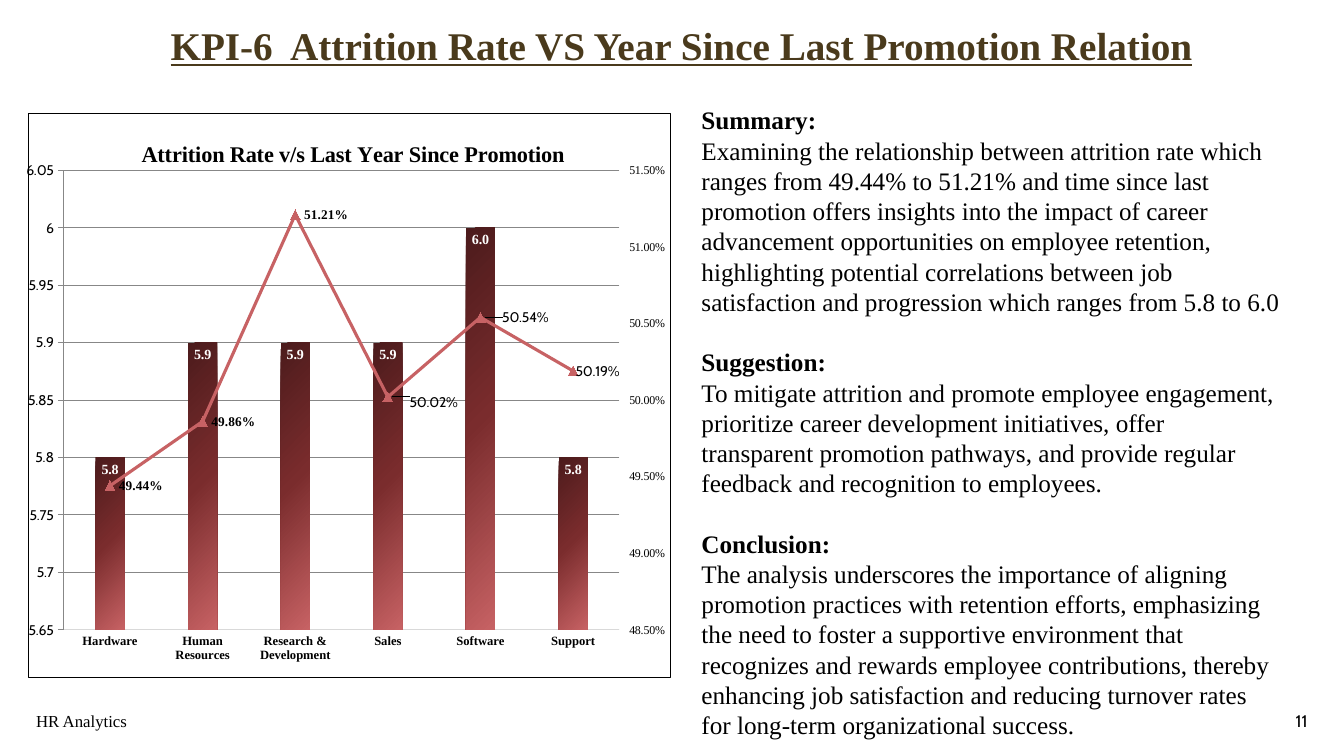
import copy
import pptx
import pptx.chart.axis
import pptx.chart.data
import pptx.dml.color
import pptx.enum.chart
import pptx.enum.text
import pptx.oxml
import pptx.oxml.ns
import pptx.util

GRID_COLUMNS, GRID_ROWS = 128, 72
SERIF, SANS = "Times New Roman", "Cabin"
BLACK, WHITE, BROWN, ROSE = "000000", "FFFFFF", "4A3A1C", "C76264"
BAR_GRADIENT = [(0, "4C1B1C"), (48, "7A2C2D"), (100, ROSE)]
LINE_HEIGHT = 21.6

DEPARTMENTS = ["Hardware", "Human Resources", "Research & Development",
               "Sales", "Software", "Support"]
PROMOTION_YEARS = [5.8, 5.9, 5.9, 5.9, 6.0, 5.8]
ATTRITION_RATES = [0.4944, 0.4986, 0.5121, 0.5002, 0.5054, 0.5019]
LABEL_SHIFTS = {3: (0.02, 0.01), 4: (0.02, 0), 5: (-0.01, 0)}

SECTIONS = [
    ("Summary:",
     "Examining the relationship between attrition rate which ranges from 49.44% to 51.21% "
     "and time since last promotion offers insights into the impact of career advancement "
     "opportunities on employee retention, highlighting potential correlations between job "
     "satisfaction and progression which ranges from 5.8 to 6.0"),
    ("Suggestion:",
     "To mitigate attrition and promote employee engagement, prioritize career development "
     "initiatives, offer transparent promotion pathways, and provide regular feedback and "
     "recognition to employees."),
    ("Conclusion:",
     "The analysis underscores the importance of aligning promotion practices with retention "
     "efforts, emphasizing the need to foster a supportive environment that recognizes and "
     "rewards employee contributions, thereby enhancing job satisfaction and reducing turnover "
     "rates for long-term organizational success."),
]


def color(hex_code):
    return pptx.dml.color.RGBColor.from_string(hex_code)


def tag(name):
    return pptx.oxml.ns.qn(name)


def xml(markup):
    """Parse markup whose root element comes without namespaces."""
    root, rest = markup.split(">", 1)
    closing = "/" if root.endswith("/") else ""
    names = pptx.oxml.ns.nsdecls("a", "c")
    return pptx.oxml.parse_xml(f"{root.rstrip('/')} {names}{closing}>{rest}")


def style(font, size, hex_code=BLACK, bold=False, name=SERIF):
    font.size, font.bold, font.name = pptx.util.Pt(size), bold, name
    font.color.rgb = color(hex_code)


def add_text(page, box, paragraphs, align="LEFT", anchor="MIDDLE"):
    frame = page.shapes.add_textbox(*box).text_frame
    frame.word_wrap = True
    frame.vertical_anchor = pptx.enum.text.MSO_ANCHOR[anchor]
    frame.text = "\n".join(paragraphs)
    for para in frame.paragraphs:
        para.alignment = pptx.enum.text.PP_ALIGN[align]
    return frame.paragraphs


def add_title(page, box):
    para = add_text(page, box, ["KPI-6  Attrition Rate VS Year Since Last Promotion Relation"],
                    "CENTER")[0]
    para.line_spacing = 0.9
    style(para.runs[0].font, 28, BROWN, True)
    para.runs[0].font.underline = True


def add_findings(page, box):
    texts = [text for section in SECTIONS for text in section]
    for index, para in enumerate(add_text(page, box, texts, anchor="TOP")):
        heading = index % 2 == 0
        para.line_spacing = pptx.util.Pt(LINE_HEIGHT)
        para.space_before = pptx.util.Pt(LINE_HEIGHT if heading and index else 0)
        style(para.runs[0].font, 18, bold=heading)


def add_footer(page, box, text, align, font_name):
    para = add_text(page, box, [text], align)[0]
    style(para.runs[0].font, 12, name=font_name)


def manual_layout(x, y, size=None):
    """Layout in shares of the chart; a size makes it an inner plot layout."""
    inner = '<c:layoutTarget val="inner"/>' if size else ""
    extent = f'<c:w val="{size[0]}"/><c:h val="{size[1]}"/>' if size else ""
    return ('<c:manualLayout>' + inner +
            '<c:xMode val="edge"/><c:yMode val="edge"/>'
            f'<c:x val="{x}"/><c:y val="{y}"/>{extent}</c:manualLayout>')


def set_layout(parent, position, content):
    for old in parent.findall(tag("c:layout")):
        parent.remove(old)
    parent.insert(position, xml(f"<c:layout>{content}</c:layout>"))


def split_off_line(plot_area):
    """Move the second series to a line plot on a right axis, and return that axis."""
    bars = plot_area.find(tag("c:barChart"))
    line = xml('<c:lineChart><c:grouping val="standard"/><c:varyColors val="0"/>'
               '<c:marker val="1"/><c:axId val="5001"/><c:axId val="5002"/></c:lineChart>')
    rates = bars.findall(tag("c:ser"))[1]
    for invert in rates.findall(tag("c:invertIfNegative")):
        rates.remove(invert)
    line.insert(2, rates)
    bars.addnext(line)

    left_axis = plot_area.find(tag("c:valAx"))
    hidden = copy.deepcopy(plot_area.find(tag("c:catAx")))
    right = copy.deepcopy(left_axis)
    left_axis.addnext(hidden)
    hidden.addnext(right)
    for axis, own, other in ((hidden, "5001", "5002"), (right, "5002", "5001")):
        axis.find(tag("c:axId")).set("val", own)
        axis.find(tag("c:crossAx")).set("val", other)
    hidden.find(tag("c:delete")).set("val", "1")
    right.find(tag("c:axPos")).set("val", "r")
    right.find(tag("c:crosses")).set("val", "max")
    return pptx.chart.axis.ValueAxis(right)


def style_value_axis(axis, low, high, step, number_format, tick):
    axis.minimum_scale, axis.maximum_scale, axis.major_unit = low, high, step
    axis.has_major_gridlines = False
    axis.major_tick_mark = pptx.enum.chart.XL_TICK_MARK[tick]
    axis.format.line.fill.background()
    axis.tick_labels.number_format = number_format
    axis.tick_labels.number_format_is_linked = False
    style(axis.tick_labels.font, 8.5)


def style_labels(series, size, hex_code, number_format, position):
    labels = series.data_labels
    labels.show_value = True
    labels.number_format, labels.number_format_is_linked = number_format, False
    labels.position = pptx.enum.chart.XL_LABEL_POSITION[position]
    style(labels.font, size, hex_code, True)


def style_bars(plot):
    plot.gap_width = 219
    series = plot.series[0]
    series.format.fill.solid()
    stops = "".join(f'<a:gs pos="{share * 1000}"><a:srgbClr val="{code}"/></a:gs>'
                    for share, code in BAR_GRADIENT)
    gradient = xml(f'<a:gradFill><a:gsLst>{stops}</a:gsLst><a:lin ang="2700000" scaled="0"/></a:gradFill>')
    properties = plot.series[0]._element.find(tag("c:spPr"))
    properties.replace(properties.find(tag("a:solidFill")), gradient)
    style_labels(series, 10, WHITE, "0.0", "INSIDE_END")


def style_line(plot):
    series = plot.series[0]
    series.smooth = False
    series.format.line.color.rgb = color(ROSE)
    series.format.line.width = pptx.util.Pt(2.25)
    series.marker.style = pptx.enum.chart.XL_MARKER_STYLE.TRIANGLE
    series.marker.size = 7
    series.marker.format.fill.solid()
    series.marker.format.fill.fore_color.rgb = color(ROSE)
    series.marker.format.line.color.rgb = color(ROSE)
    style_labels(series, 9.5, BLACK, "0.00%", "RIGHT")
    labels = series._element.find(tag("c:dLbls"))
    for index, (x, y) in LABEL_SHIFTS.items():
        series.points[index].data_label.position = pptx.enum.chart.XL_LABEL_POSITION.RIGHT
    for label in labels.findall(tag("c:dLbl")):
        number = label.find(tag("c:idx"))
        x, y = LABEL_SHIFTS[int(number.get("val"))]
        for name in ("c:txPr", "c:numFmt"):
            number.addnext(copy.deepcopy(labels.find(tag(name))))
        set_layout(label, 1, f'<c:manualLayout><c:x val="{x}"/><c:y val="{y}"/></c:manualLayout>')


def add_attrition_chart(page, box):
    data = pptx.chart.data.CategoryChartData()
    data.categories = DEPARTMENTS
    data.add_series("Series 1", PROMOTION_YEARS)
    data.add_series("Series 2", ATTRITION_RATES)
    kind = pptx.enum.chart.XL_CHART_TYPE.COLUMN_CLUSTERED
    chart = page.shapes.add_chart(kind, *box, data).chart
    style(chart.font, 10, name=SANS)
    chart.has_legend = False
    space = chart._chartSpace
    space.find(tag("c:chart")).addnext(xml(
        '<c:spPr><a:noFill/><a:ln w="9525"><a:solidFill>'
        f'<a:srgbClr val="{BLACK}"/></a:solidFill></a:ln></c:spPr>'))

    chart.chart_title.text_frame.text = "Attrition Rate v/s Last Year Since Promotion"
    style(chart.chart_title.text_frame.paragraphs[0].runs[0].font, 16, bold=True)
    set_layout(space.find(".//" + tag("c:title")), 1, manual_layout(0.17, 0.04))
    plot_area = space.find(".//" + tag("c:plotArea"))
    set_layout(plot_area, 0, manual_layout(0.055, 0.101, (0.865, 0.814)))

    right_axis = split_off_line(plot_area)
    style_value_axis(chart.value_axis, 5.7, 6.0, 0.1, "0.0", "NONE")
    style_value_axis(right_axis, 0.485, 0.515, 0.005, "0.00%", "OUTSIDE")
    departments = chart.category_axis
    departments.major_tick_mark = pptx.enum.chart.XL_TICK_MARK.NONE
    departments.format.line.color.rgb = color("D9D9D9")
    departments.format.line.width = pptx.util.Pt(0.75)
    style(departments.tick_labels.font, 9, bold=True)
    bars, line = chart.plots
    bars.vary_by_categories = False
    style_bars(bars)
    style_line(line)


def main():
    deck = pptx.Presentation()
    deck.slide_width, deck.slide_height = pptx.util.Inches(13.333), pptx.util.Inches(7.5)
    page = deck.slides.add_slide(deck.slide_layouts[6])

    def cells(column, row, columns, rows):
        across, down = deck.slide_width / GRID_COLUMNS, deck.slide_height / GRID_ROWS
        return [int(length) for length in
                (column * across, row * down, columns * across, rows * down)]

    add_title(page, cells(9.7, 1.44, 110.4, 6.24))
    add_attrition_chart(page, cells(2.5, 10.75, 61.44, 53.86))
    add_findings(page, cells(65.86, 9.5, 57.22, 62))
    add_footer(page, cells(2.5, 66.7, 43.2, 3.84), "HR Analytics", "LEFT", SERIF)
    add_footer(page, cells(96.67, 66.7, 28.8, 3.84), "11", "RIGHT", SANS)
    deck.save("out.pptx")


if __name__ == "__main__":
    main()
